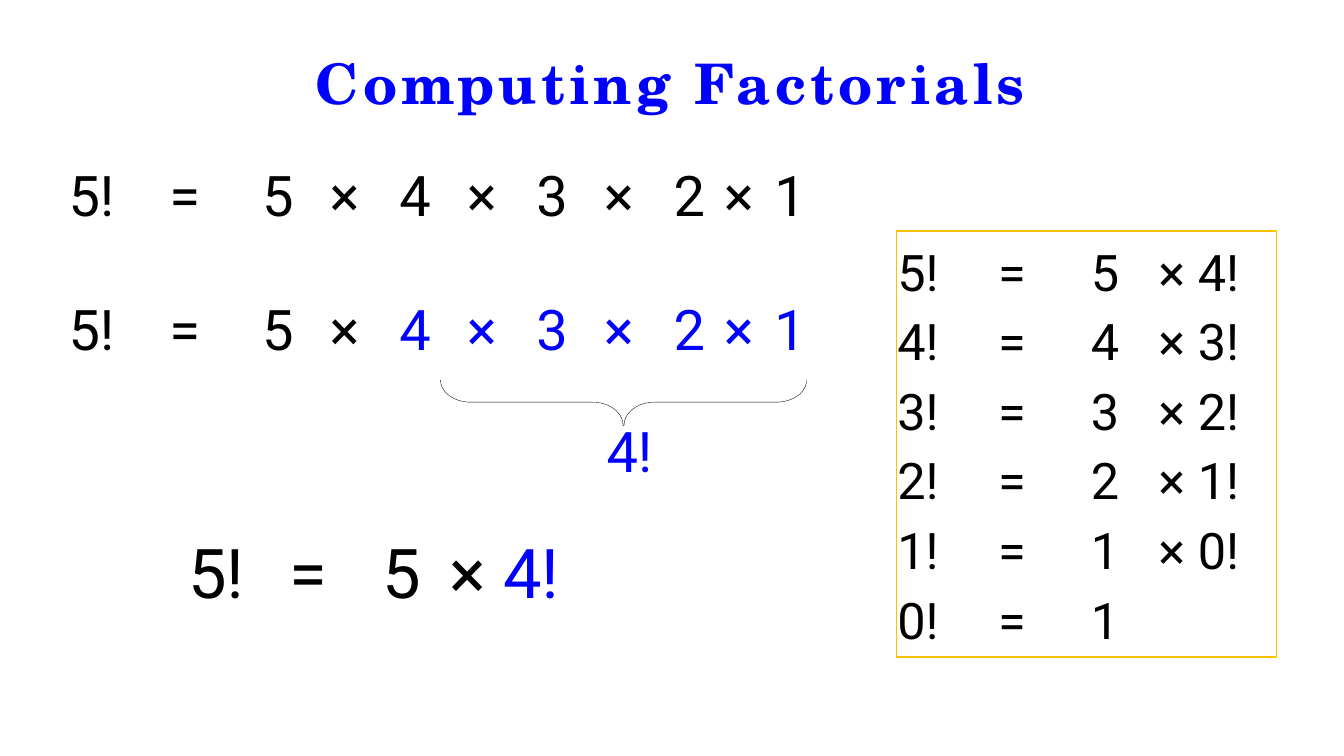
from math import cos, pi, sin

from lxml.etree import SubElement
from pptx import Presentation
from pptx.dml.color import RGBColor
from pptx.enum.shapes import MSO_SHAPE
from pptx.enum.text import MSO_ANCHOR, MSO_AUTO_SIZE, PP_ALIGN
from pptx.oxml.ns import qn
from pptx.util import Pt

PX = 9144  # 100 px to the inch
THEME = {
    "black": RGBColor(0, 0, 0),
    "blue": RGBColor(0, 0, 255),
    "white": RGBColor(255, 255, 255),
    "gold": RGBColor(255, 192, 0),
    "title_font": "TeX Gyre Schola",
    "body_font": "Roboto",
    "title": 39.9, "product": 40, "result": 49, "table": 36,
}
SHORT_TABS = (100, 192, 259)
LONG_TABS = SHORT_TABS + (328, 395, 464, 531, 600)


def format_frame(sp, top=1):
    tf = sp.text_frame
    settings = {"word_wrap": True, "auto_size": MSO_AUTO_SIZE.SHAPE_TO_FIT_TEXT,
                "vertical_anchor": MSO_ANCHOR.TOP, "margin_left": 0,
                "margin_right": 0, "margin_bottom": 0, "margin_top": top * PX}
    for name, value in settings.items():
        setattr(tf, name, value)
    return tf


def add_line(p, runs, size, before=0.9, tabs=(), font="body_font"):
    p.alignment = PP_ALIGN.LEFT
    p.space_before = Pt(before)
    pPr = p._p.get_or_add_pPr()
    pPr.set("marL", str(PX))
    if tabs:
        tab_list = SubElement(pPr, qn("a:tabLst"))
        for tab in tabs:
            SubElement(tab_list, qn("a:tab"), pos=str(tab * PX), algn="l")
    for text, color in runs:
        r = p.add_run()
        r.text = text
        r.font.name = THEME[font]
        r.font.size = Pt(THEME[size])
        r.font.color.rgb = THEME[color]


prs = Presentation()
prs.slide_width, prs.slide_height = 1333 * PX, 750 * PX
s = prs.slides.add_slide(prs.slide_layouts[6])

# Title and the three worked equations
lines = [
    ((312, 47, 709, 68), [("Computing Factorials", "blue")], "title", (), "title_font"),
    ((67, 158, 775, 69), [("5!\t=\t5\t×\t4\t×\t3\t×\t2\t×\t1", "black")],
     "product", LONG_TABS, "body_font"),
    ((67, 291, 775, 191), [("5!\t=\t5\t×\t", "black"), ("4\t×\t3\t×\t2\t×\t1", "blue")],
     "product", LONG_TABS, "body_font"),
    ((186, 525, 377, 84), [("5!\t=\t5\t× ", "black"), ("4!", "blue")],
     "result", SHORT_TABS, "body_font"),
]
frames = []
for box, runs, size, tabs, font in lines:
    tf = format_frame(s.shapes.add_textbox(*(v * PX for v in box)))
    add_line(tf.paragraphs[0], runs, size, tabs=tabs, font=font)
    frames.append(tf)

# Bold, widely spaced title
r = frames[0].paragraphs[0].runs[0]
r.font.bold = True
r._r.get_or_add_rPr().set("spc", "285")

# 4! below the brace
p = frames[2].add_paragraph()
add_line(p, [("4!", "blue")], "product", before=39.2)
p.alignment = PP_ALIGN.RIGHT
p._p.get_or_add_pPr().set("marR", str(195 * PX))

# Brace: two quarter arcs, then their mirror image
angles = [i * pi / 32 for i in range(17)]
half = [(467 - 30 * cos(a), 377 + 22 * sin(a)) for a in angles]
half += [(588 + 30 * sin(a), 422 - 23 * cos(a)) for a in angles]
outline = half + [(1237 - x, y) for x, y in reversed(half)]
points = [(round(x * PX), round(y * PX)) for x, y in outline]
brace = s.shapes.build_freeform(*points[0])
brace.add_line_segments(points[1:], close=False)
sp = brace.convert_to_shape()
sp.shadow.inherit = False
sp.fill.background()
sp.line.color.rgb = THEME["black"]
sp.line.width = Pt(0.25)

# Framed list of recursive steps
sp = s.shapes.add_shape(MSO_SHAPE.RECTANGLE, *(v * PX for v in (889, 229, 377, 423)))
sp.shadow.inherit = False
sp.fill.solid()
sp.fill.fore_color.rgb = THEME["white"]
sp.line.color.rgb = THEME["gold"]
sp.line.width = Pt(1)
tf = format_frame(sp, top=10)
for n in range(5, -1, -1):
    p = tf.paragraphs[0] if n == 5 else tf.add_paragraph()
    text = f"{n}!\t=\t{n}\t× {n - 1}!" if n else "0!\t=\t1"
    add_line(p, [(text, "black")], "table", before=7.4 if n == 5 else 6.5, tabs=SHORT_TABS)

prs.save("out.pptx")
